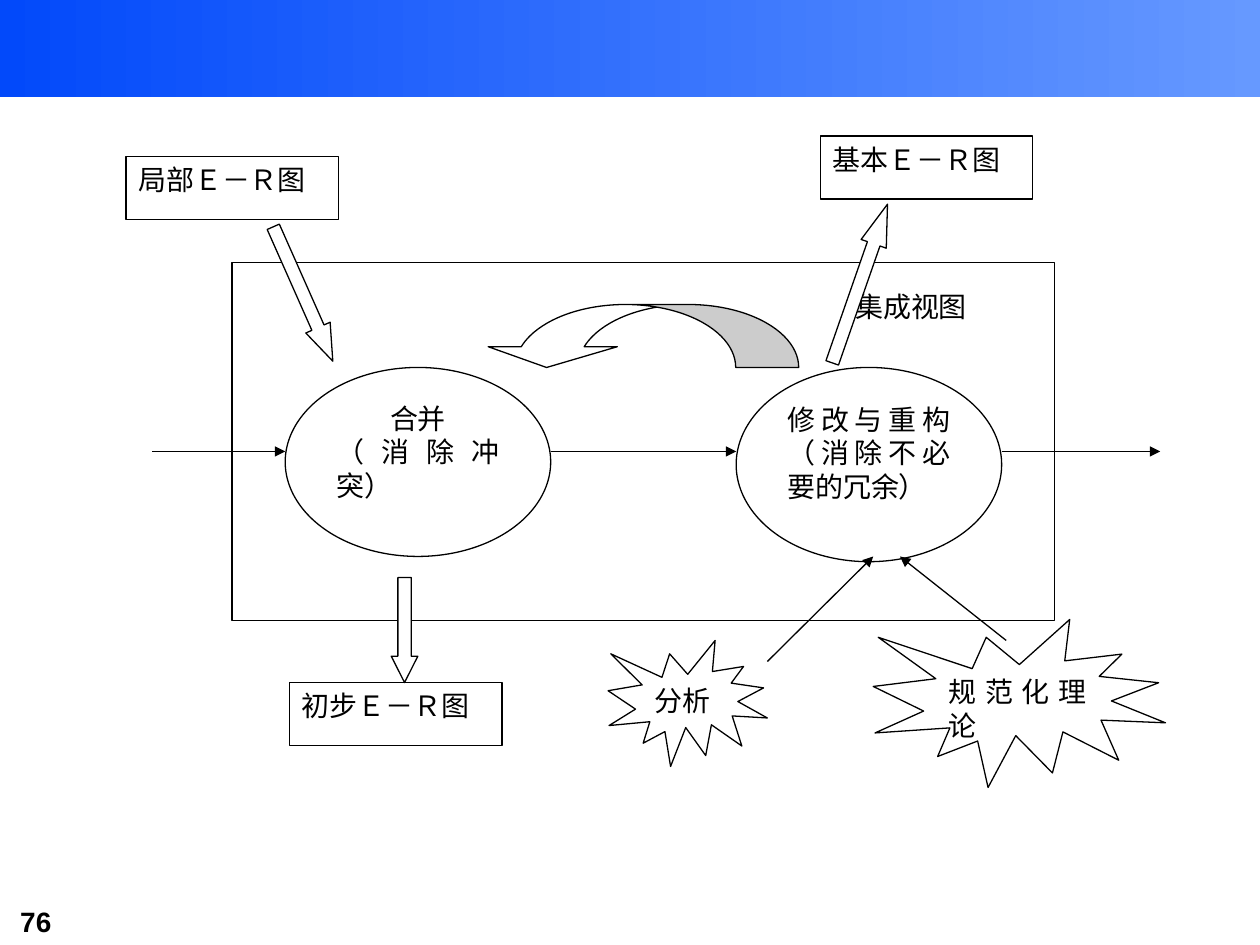
from pptx import Presentation
from pptx.util import Pt
from pptx.dml.color import RGBColor
from pptx.enum.shapes import MSO_SHAPE, MSO_CONNECTOR
from pptx.enum.text import PP_ALIGN, MSO_ANCHOR
from pptx.oxml.ns import qn
from lxml.etree import SubElement

BLACK = RGBColor(0, 0, 0)
WHITE = RGBColor(255, 255, 255)
DEEP = RGBColor(0x02, 0x49, 0xFA)
LIGHT = RGBColor(0x66, 0x99, 0xFF)
LEFT, MID = PP_ALIGN.JUSTIFY, PP_ALIGN.CENTER

deck = Presentation()
deck.slide_width, deck.slide_height = Pt(720), Pt(540)
slide = deck.slides.add_slide(deck.slide_layouts[6])
shapes = slide.shapes


def draw(kind, box, lines=(), turn=0, adjust=(), edge=True):
    shape = shapes.add_shape(kind, *[Pt(v) for v in box])
    shape.shadow.inherit = False
    shape.fill.solid()
    shape.fill.fore_color.rgb = WHITE
    if edge:
        shape.line.color.rgb = BLACK
        shape.line.width = Pt(0.75)
    else:
        shape.line.fill.background()
    shape.rotation = turn
    for i, value in enumerate(adjust):
        shape.adjustments[i] = value
    frame = shape.text_frame
    frame.word_wrap = True
    frame.vertical_anchor = MSO_ANCHOR.TOP
    for i, (words, align) in enumerate(lines):
        para = frame.add_paragraph() if i else frame.paragraphs[0]
        para.alignment = align
        run = para.add_run()
        run.text = words
        run.font.size = Pt(16)
        run.font.name = "Times New Roman"
        run.font.color.rgb = BLACK
    return shape


def link(x1, y1, x2, y2):
    line = shapes.add_connector(MSO_CONNECTOR.STRAIGHT, Pt(x1), Pt(y1), Pt(x2), Pt(y2))
    line.line.color.rgb = BLACK
    line.line.width = Pt(0.75)
    SubElement(line.line._get_or_add_ln(), qn("a:tailEnd"), type="triangle")
    SubElement(line._element.spPr, qn("a:effectLst"))


band = draw(MSO_SHAPE.RECTANGLE, (0, 0, 720, 55.4), edge=False)
band.fill.gradient()
band.fill.gradient_angle = 0
for stop, color, place in zip(band.fill.gradient_stops, (DEEP, LIGHT), (0, 1)):
    stop.color.rgb = color
    stop.position = place

page = shapes.add_textbox(Pt(4.5), Pt(513.4), Pt(88), Pt(26.6)).text_frame
page.word_wrap = True
run = page.paragraphs[0].add_run()
run.text = "76"
run.font.size = Pt(16)
run.font.name = "Arial"
run.font.bold = True
run.font.color.rgb = BLACK

draw(MSO_SHAPE.RECTANGLE, (132.5, 150, 470, 204.5))
for words, left, top in (
    ("局部Ｅ－Ｒ图", 72, 89.3),
    ("基本Ｅ－Ｒ图", 468.7, 77.8),
    ("初步Ｅ－Ｒ图", 165.4, 390),
):
    draw(MSO_SHAPE.RECTANGLE, (left, top, 121.5, 36), [(words, LEFT)])

draw(MSO_SHAPE.OVAL, (163, 210, 151.7, 108), [("合并", MID), ("（消除冲突）", LEFT)])
draw(MSO_SHAPE.OVAL, (420.7, 210, 151.7, 111), [("修改与重构（消除不必要的冗余）", LEFT)])
draw(MSO_SHAPE.RECTANGLE, (481.7, 162, 91, 36), [("集成视图", LEFT)], edge=False)

draw(MSO_SHAPE.CURVED_UP_ARROW, (275.4, 174, 181, 36), turn=180, adjust=(1.03, 2.05, 0.33))
draw(MSO_SHAPE.DOWN_ARROW, (223.6, 330, 15.2, 60), adjust=(0.5, 0.99))
draw(MSO_SHAPE.UP_ARROW, (483.8, 114, 15.2, 96), turn=19.2, adjust=(0.5, 1.58))
draw(MSO_SHAPE.DOWN_ARROW, (165.6, 126, 15.2, 84), turn=336.1, adjust=(0.5, 1.38))

draw(MSO_SHAPE.EXPLOSION1, (347.5, 366, 91, 72), [("分析", LEFT)])
draw(MSO_SHAPE.EXPLOSION1, (499, 354, 167, 96), [("规范化理论", LEFT)])

for start, end in ((87, 163), (314.7, 420.7), (572.4, 663)):
    link(start, 258, end, 258)
link(438.5, 378, 499, 318)
link(575, 366, 514.3, 318)

deck.save("out.pptx")
